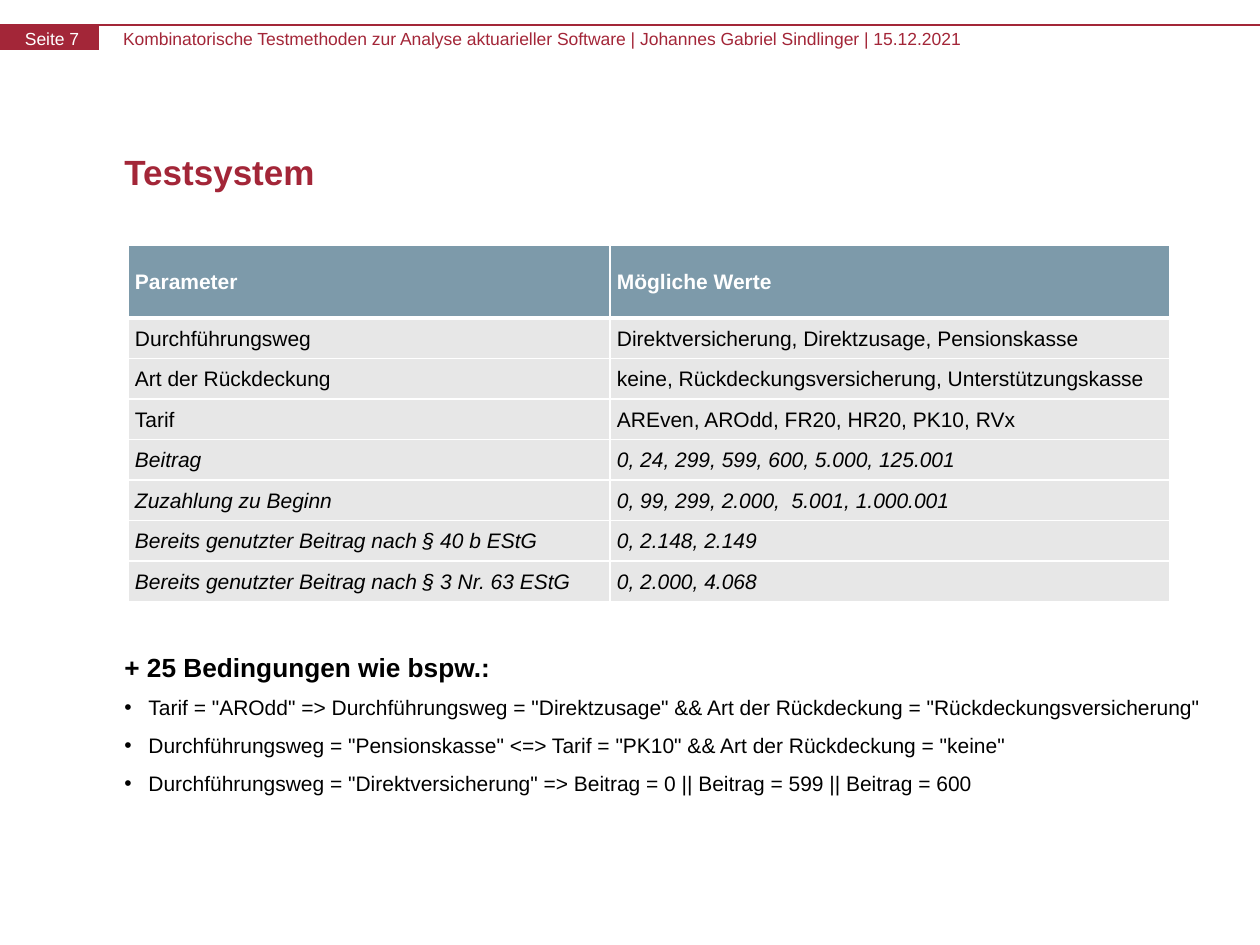
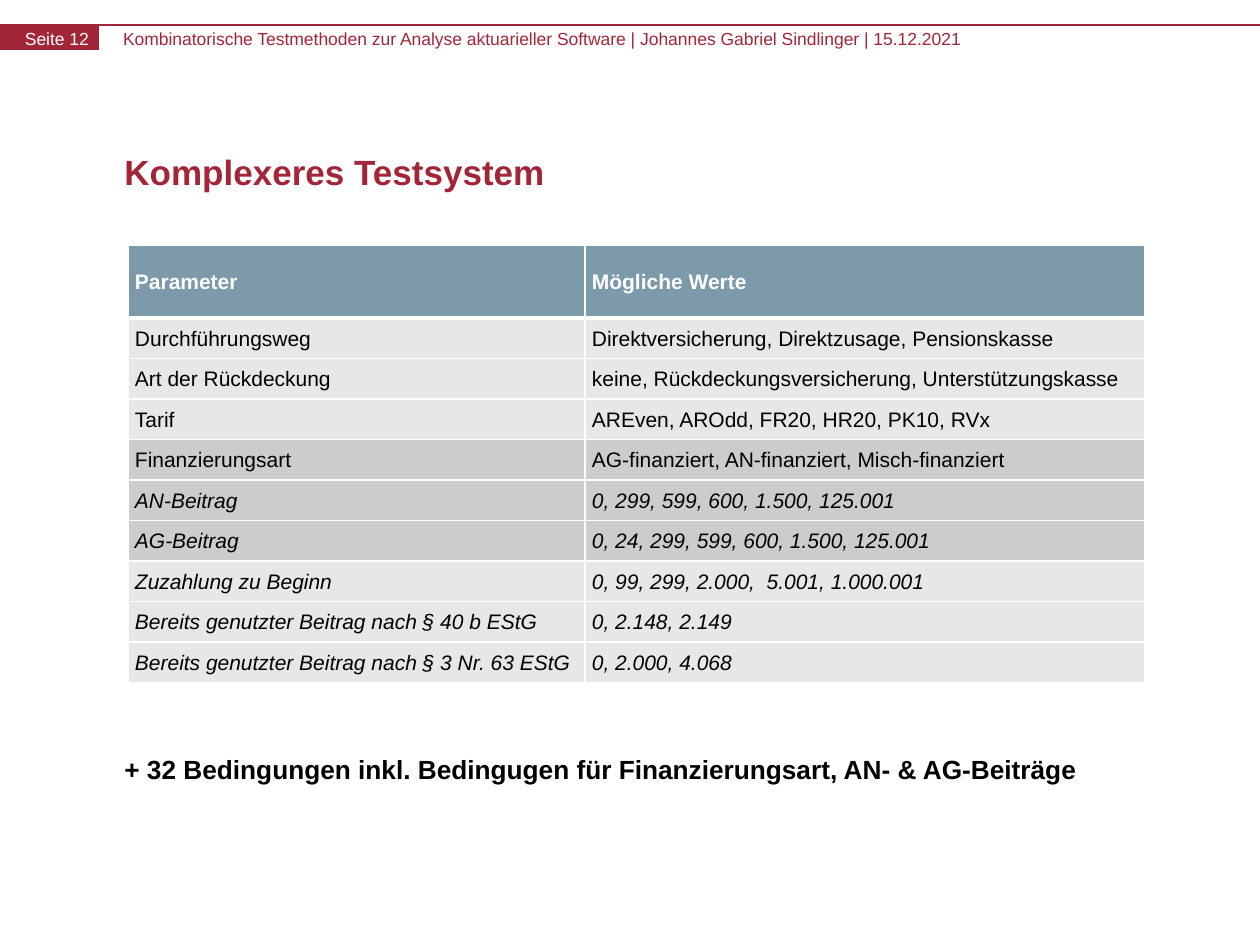
from lxml import etree
from pptx import Presentation
from pptx import util as u
from pptx.dml.color import RGBColor
from pptx.enum import shapes, text
from pptx.oxml.ns import qn

# Shared style
EMU_PER_PX = 914400 / 126
FONT = "Arial"
RED, WHITE, BLACK = "A32638", "FFFFFF", "000000"
HEADER_BLUE, LIGHT_GREY, MID_GREY = "7D9AAA", "E7E7E7", "CCCCCC"
BAND_TOP, BAND_HEIGHT = 25, 25
TABLE_LEFT, TABLE_TOP, HEADER_HEIGHT, VALUES_WIDTH = 128, 245, 73, 560
BULLET_INDENT = 24
RUNNING_HEAD = ("Kombinatorische Testmethoden zur Analyse aktuarieller Software"
                " | Johannes Gabriel Sindlinger | 15.12.2021")

# Table content: parameter, possible values
HEADINGS = ("Parameter", "Mögliche Werte")
COMMON_CHOICES = [
    ("Durchführungsweg", "Direktversicherung, Direktzusage, Pensionskasse"),
    ("Art der Rückdeckung", "keine, Rückdeckungsversicherung, Unterstützungskasse"),
    ("Tarif", "AREven, AROdd, FR20, HR20, PK10, RVx"),
]
COMMON_AMOUNTS = [
    ("Zuzahlung zu Beginn", "0, 99, 299, 2.000,  5.001, 1.000.001"),
    ("Bereits genutzter Beitrag nach § 40 b EStG", "0, 2.148, 2.149"),
    ("Bereits genutzter Beitrag nach § 3 Nr. 63 EStG", "0, 2.000, 4.068"),
]
SINGLE_CONTRIBUTION = [("Beitrag", "0, 24, 299, 599, 600, 5.000, 125.001")]
FINANCING = [("Finanzierungsart", "AG-finanziert, AN-finanziert, Misch-finanziert")]
SPLIT_CONTRIBUTIONS = [
    ("AN-Beitrag", "0, 299, 599, 600, 1.500, 125.001"),
    ("AG-Beitrag", "0, 24, 299, 599, 600, 1.500, 125.001"),
]
EXAMPLE_CONDITIONS = [
    'Tarif = "AROdd" => Durchführungsweg = "Direktzusage" && '
    'Art der Rückdeckung = "Rückdeckungsversicherung"',
    'Durchführungsweg = "Pensionskasse" <=> Tarif = "PK10" && '
    'Art der Rückdeckung = "keine"',
    'Durchführungsweg = "Direktversicherung" => Beitrag = 0 || '
    'Beitrag = 599 || Beitrag = 600',
]


def px(length):
    return u.Emu(round(length * EMU_PER_PX))


def color(value):
    return RGBColor.from_string(value)


def format_runs(paragraph, size, ink, bold=False, italic=False):
    for run in paragraph.runs:
        run.font.name = FONT
        run.font.size = u.Pt(size)
        run.font.color.rgb = color(ink)
        run.font.bold = bold
        run.font.italic = italic


def add_text(slide, box, wording, size, ink, bold=False, inset=True):
    frame = slide.shapes.add_textbox(*map(px, box)).text_frame
    frame.word_wrap = True
    if not inset:
        frame.margin_left = frame.margin_right = 0
        frame.margin_top = frame.margin_bottom = 0
    frame.text = wording
    format_runs(frame.paragraphs[0], size, ink, bold)
    return frame


# Running head: rule, page band, page number and talk details
def add_running_head(slide, page):
    rule = slide.shapes.add_connector(
        shapes.MSO_CONNECTOR.STRAIGHT, 0, px(BAND_TOP), px(1260), px(BAND_TOP))
    rule.line.color.rgb = color(RED)
    rule.line.width = u.Pt(0.75)
    etree.SubElement(rule.line._get_or_add_ln().getparent(), qn("a:effectLst"))

    band = slide.shapes.add_shape(
        shapes.MSO_SHAPE.RECTANGLE, 0, px(BAND_TOP), px(99), px(BAND_HEIGHT))
    band.shadow.inherit = False
    band.fill.solid()
    band.fill.fore_color.rgb = color(RED)
    band.line.fill.background()

    add_text(slide, (123, 28, 914, 21), RUNNING_HEAD, 10, RED, inset=False)
    add_text(slide, (25, 28, 78, 41), f"Seite {page}", 10, WHITE, inset=False)


def add_title(slide, wording):
    frame = add_text(slide, (112, 126, 1075, 91), wording, 20, RED, bold=True)
    frame.vertical_anchor = text.MSO_ANCHOR.MIDDLE
    frame.paragraphs[0].line_spacing = u.Pt(24)


# Parameter table
def set_borders(cell, top=1, bottom=1):
    properties = cell._tc.get_or_add_tcPr()
    for side, width in (("L", 1), ("R", 1), ("T", top), ("B", bottom)):
        edge = etree.SubElement(properties, qn(f"a:ln{side}"), w=str(u.Pt(width)))
        fill = etree.SubElement(edge, qn("a:solidFill"))
        etree.SubElement(fill, qn("a:srgbClr"), val=WHITE)


def fill_cell(cell, wording, fill, ink=BLACK, bold=False, italic=False):
    cell.fill.solid()
    cell.fill.fore_color.rgb = color(fill)
    cell.margin_left, cell.margin_right = px(7), px(1)
    cell.margin_top, cell.margin_bottom = px(1), 0
    cell.vertical_anchor = text.MSO_ANCHOR.MIDDLE
    cell.text = wording
    format_runs(cell.text_frame.paragraphs[0], 12, ink, bold, italic)


def add_parameter_table(slide, parameter_width, height, choices, amounts, highlighted=()):
    parameters = choices + amounts
    table = slide.shapes.add_table(
        len(parameters) + 1, 2, px(TABLE_LEFT), px(TABLE_TOP),
        px(parameter_width + VALUES_WIDTH), px(height)).table
    table.horz_banding = False
    table.columns[0].width = px(parameter_width)
    table.columns[1].width = px(VALUES_WIDTH)
    table.rows[0].height = px(HEADER_HEIGHT)

    for column, heading in enumerate(HEADINGS):
        cell = table.cell(0, column)
        set_borders(cell, bottom=3)
        fill_cell(cell, heading, HEADER_BLUE, WHITE, bold=True)

    for row, parameter in enumerate(parameters, start=1):
        table.rows[row].height = px((height - HEADER_HEIGHT) / len(parameters))
        for column, wording in enumerate(parameter):
            cell = table.cell(row, column)
            set_borders(cell, top=3 if row == 1 else 1)
            fill_cell(cell, wording, MID_GREY if parameter in highlighted else LIGHT_GREY,
                      italic=parameter in amounts)


# Conditions: bold summary with optional bulleted examples
def add_bullet(paragraph):
    properties = paragraph._p.get_or_add_pPr()
    properties.set("marL", str(px(BULLET_INDENT)))
    properties.set("indent", str(-px(BULLET_INDENT)))
    etree.SubElement(properties, qn("a:buFont"), typeface=FONT)
    etree.SubElement(properties, qn("a:buChar"), char="•")


def add_conditions(slide, top, height, summary, examples=()):
    frame = add_text(slide, (112, top, 1104, height), summary, 15, BLACK, bold=True)
    for example in examples:
        paragraph = frame.add_paragraph()
        paragraph.text = example
        format_runs(paragraph, 12, BLACK)
        add_bullet(paragraph)
    for paragraph in frame.paragraphs:
        paragraph.line_spacing = 1.5


def add_slide(deck, page, title):
    slide = deck.slides.add_slide(deck.slide_layouts[6])
    add_running_head(slide, page)
    add_title(slide, title)
    return slide


def main():
    deck = Presentation()
    deck.slide_width, deck.slide_height = px(1260), px(945)

    # Test system
    simple = add_slide(deck, 7, "Testsystem")
    add_parameter_table(simple, 482, 357, COMMON_CHOICES,
                        SINGLE_CONTRIBUTION + COMMON_AMOUNTS)
    add_conditions(simple, 629, 213, "+ 25 Bedingungen wie bspw.:", EXAMPLE_CONDITIONS)

    # Extended test system, new parameters highlighted
    extended = add_slide(deck, 12, "Komplexeres Testsystem")
    add_parameter_table(extended, 457, 438, COMMON_CHOICES + FINANCING,
                        SPLIT_CONTRIBUTIONS + COMMON_AMOUNTS,
                        highlighted=FINANCING + SPLIT_CONTRIBUTIONS)
    add_conditions(extended, 731, 112,
                   "+ 32 Bedingungen inkl. Bedingugen für Finanzierungsart, AN- & AG-Beiträge")

    deck.save("out.pptx")


if __name__ == "__main__":
    main()
